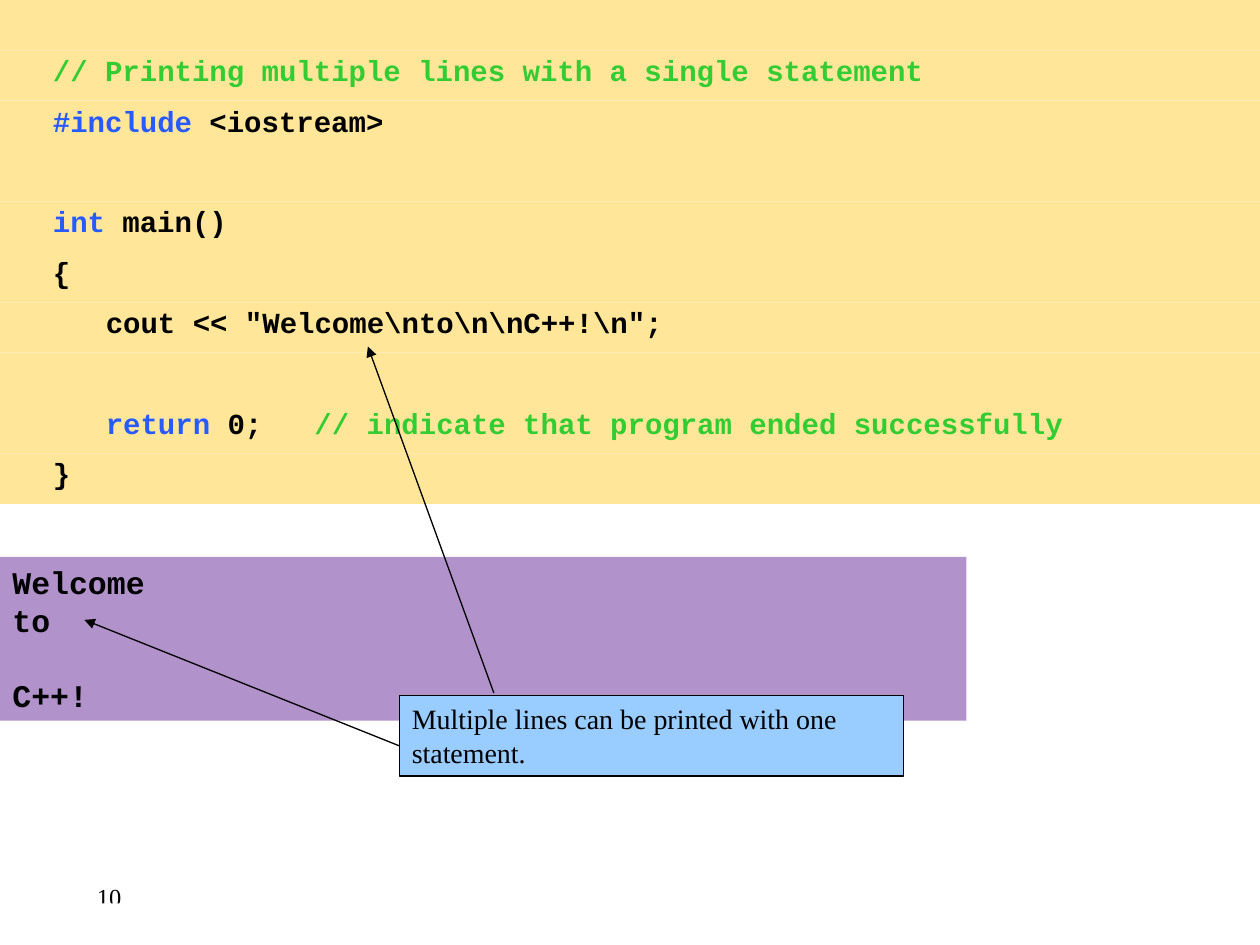
from lxml.etree import SubElement
from pptx import Presentation
from pptx.dml.color import RGBColor
from pptx.enum.shapes import MSO_CONNECTOR, MSO_SHAPE
from pptx.enum.text import MSO_ANCHOR, PP_ALIGN
from pptx.oxml.ns import qn
from pptx.util import Inches, Pt

CODE_FONT, BODY_FONT = "Courier New", "Times New Roman"
BLACK, KEYWORD, COMMENT = "000000", "275AFF", "33CC33"
ROW_H = 0.4
CODE_LEFT = 0.42

# Each code line: indent in inches, then (text, colour) pieces
CODE = [
    (0, []),
    (0, [("// Printing multiple lines with a single statement", COMMENT)]),
    (0, [("#include", KEYWORD), (" <iostream>", BLACK)]),
    (0, []),
    (0, [("int", KEYWORD), (" main()", BLACK)]),
    (0, [("{", BLACK)]),
    (0.42, [(r'cout << "Welcome\nto\n\nC++!\n";', BLACK)]),
    (0, []),
    (0.42, [("return", KEYWORD), (" 0;   ", BLACK),
            ("// indicate that program ended successfully", COMMENT)]),
    (0, [("}", BLACK)]),
]


def rgb(hex_colour):
    return RGBColor.from_string(hex_colour)


class SlideBuilder:
    def __init__(self, slide):
        self.s = slide

    def box(self, x, y, w, h, fill, line=None):
        sp = self.s.shapes.add_shape(
            MSO_SHAPE.RECTANGLE, Inches(x), Inches(y), Inches(w), Inches(h))
        sp.shadow.inherit = False
        sp.fill.solid()
        sp.fill.fore_color.rgb = rgb(fill)
        if line:
            sp.line.color.rgb = rgb(line)
            sp.line.width = Pt(0.75)
        else:
            sp.line.fill.background()
        return sp

    def text(self, sp, paragraphs, font, size, bold=False, left=0.1):
        """Write paragraphs, each a list of (text, colour) pieces."""
        tf = sp.text_frame
        tf.word_wrap = True
        tf.vertical_anchor = MSO_ANCHOR.TOP
        tf.margin_left = Inches(left)
        for i, pieces in enumerate(paragraphs):
            p = tf.add_paragraph() if i else tf.paragraphs[0]
            p.alignment = PP_ALIGN.LEFT
            p.font.name, p.font.size, p.font.bold = font, Pt(size), bold
            for text, colour in pieces:
                r = p.add_run()
                r.text = text
                r.font.color.rgb = rgb(colour)
        return tf.paragraphs

    def label(self, x, y, w, h, text, size):
        sp = self.s.shapes.add_textbox(Inches(x), Inches(y), Inches(w), Inches(h))
        self.text(sp, [[(text, BLACK)]], BODY_FONT, size)

    def arrow(self, start, end):
        cn = self.s.shapes.add_connector(
            MSO_CONNECTOR.STRAIGHT, *(Inches(v) for v in start + end))
        cn.line.color.rgb = rgb(BLACK)
        cn.line.width = Pt(0.75)
        SubElement(cn.line._get_or_add_ln(), qn("a:tailEnd"), type="triangle")
        SubElement(cn._element.spPr, qn("a:effectLst"))


def main():
    prs = Presentation()
    prs.slide_width, prs.slide_height = Inches(10), Inches(7.5)
    b = SlideBuilder(prs.slides.add_slide(prs.slide_layouts[6]))

    # Page number
    b.label(0.67, 6.95, 2.17, 0.4, "10", 14)

    # Code listing, one band per line
    for i, (indent, pieces) in enumerate(CODE):
        sp = b.box(0, i * ROW_H, 10, ROW_H, "FFE699")
        if pieces:
            p, = b.text(sp, [pieces], CODE_FONT, 16.6, True, CODE_LEFT + indent)
            p.line_spacing = 0.9

    # Program output, with an empty line before the last word
    sp = b.box(0, 4.42, 7.67, 1.3, "B292CA")
    output = b.text(sp, [[(t, BLACK)] for t in ("Welcome", "to", "C++!")],
                    CODE_FONT, 18, True)
    for p in output:
        p.line_spacing = Pt(21.6)
    output[-1].space_before = Pt(21.6)

    # Callout and its arrows
    sp = b.box(3.17, 5.52, 4, 0.64, "99CCFF", BLACK)
    b.text(sp, [[("Multiple lines can be printed with one statement.", BLACK)]],
           BODY_FONT, 16)
    b.arrow((3.17, 5.92), (0.67, 4.92))
    b.arrow((3.92, 5.5), (2.92, 2.75))

    # White footer strip
    b.box(0.33, 7.17, 3.37, 0.33, "FFFFFF")

    prs.save("out.pptx")


if __name__ == "__main__":
    main()
